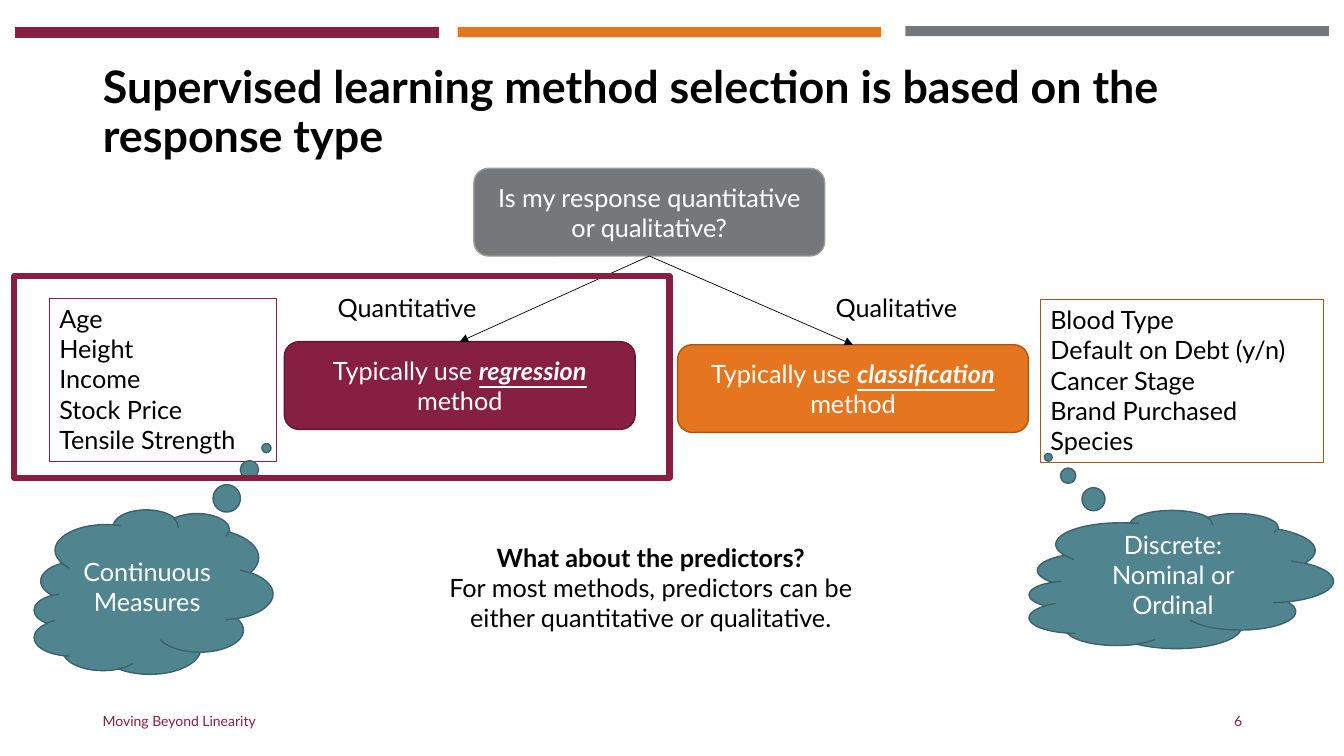
import pptx
import pptx.util
from pptx.dml.color import RGBColor
from pptx.enum.shapes import MSO_CONNECTOR, MSO_SHAPE
from pptx.enum.text import MSO_ANCHOR, MSO_AUTO_SIZE, PP_ALIGN
from pptx.oxml.ns import qn
from pptx.oxml.xmlchemy import OxmlElement
from pptx.util import Inches, Pt

MAROON = RGBColor(0x86, 0x1F, 0x41)
DARK_MAROON = RGBColor(0x63, 0x17, 0x30)
ORANGE = RGBColor(0xE5, 0x75, 0x1F)
DARK_ORANGE = RGBColor(0xA9, 0x57, 0x17)
LIST_ORANGE = RGBColor(0xAF, 0x57, 0x14)
GRAY = RGBColor(0x75, 0x78, 0x7B)
LIGHT_GRAY = RGBColor(0x9F, 0x9B, 0x96)
TEAL = RGBColor(0x50, 0x85, 0x90)
DARK_TEAL = RGBColor(0x3B, 0x62, 0x6B)
BLACK = RGBColor(0, 0, 0)
WHITE = RGBColor(0xFF, 0xFF, 0xFF)


class SlideBuilder:
    font_name = "Lato"
    body_size = 18

    def __init__(self, slide):
        self.slide = slide

    def set_text(self, shape, lines, color=BLACK, size=body_size, align=PP_ALIGN.LEFT,
                 anchor=MSO_ANCHOR.TOP, wrap=True):
        """Fill the shape with one paragraph per line and return the paragraphs."""
        frame = shape.text_frame
        frame.text = "\n".join(lines)
        frame.auto_size = MSO_AUTO_SIZE.NONE
        frame.word_wrap = wrap
        frame.vertical_anchor = anchor
        for paragraph in frame.paragraphs:
            paragraph.alignment = align
            paragraph.font.name = self.font_name
            paragraph.font.size = Pt(size)
            paragraph.font.color.rgb = color
        return frame.paragraphs

    def title(self, text, box):
        shape = self.slide.shapes.title
        shape.left, shape.top, shape.width, shape.height = map(Inches, box)
        paragraph = self.set_text(shape, [text], size=32, anchor=MSO_ANCHOR.MIDDLE)[0]
        paragraph.font.bold = True
        paragraph.line_spacing = 0.9

    def text(self, lines, box, **style):
        shape = self.slide.shapes.add_textbox(*map(Inches, box))
        return self.set_text(shape, lines, **style)

    def shape(self, kind, box, fill=None, line=None, line_width=1):
        shape = self.slide.shapes.add_shape(kind, *map(Inches, box))
        shape.shadow.inherit = False
        if fill is None:
            shape.fill.background()
        else:
            shape.fill.solid()
            shape.fill.fore_color.rgb = fill
        if line is None:
            shape.line.fill.background()
        else:
            shape.line.color.rgb = line
            shape.line.width = Pt(line_width)
        return shape

    def node(self, text, left, top, fill, line, emphasis=None):
        """Draw a rounded flowchart box, with one word of its text emphasised."""
        shape = self.shape(MSO_SHAPE.ROUNDED_RECTANGLE, (left, top, 3.48, 0.87), fill, line)
        paragraph = self.set_text(shape, [text], WHITE, align=PP_ALIGN.CENTER,
                                  anchor=MSO_ANCHOR.MIDDLE)[0]
        if emphasis:
            before, after = text.split(emphasis)
            paragraph.runs[0].text = before
            run = paragraph.add_run()
            run.text = emphasis
            run.font.bold = run.font.italic = run.font.underline = True
            paragraph.add_run().text = after
        return shape

    def arrow(self, start, end):
        """Join the bottom of one node to the top of another."""
        connector = self.slide.shapes.add_connector(MSO_CONNECTOR.STRAIGHT, 0, 0, 0, 0)
        connector.begin_connect(start, 2)
        connector.end_connect(end, 0)
        connector.line.color.rgb = BLACK
        connector.line.width = Pt(0.5)
        head = OxmlElement("a:tailEnd")
        head.set("type", "triangle")
        properties = connector.element.spPr
        properties.find(qn("a:ln")).append(head)
        properties.append(OxmlElement("a:effectLst"))

    def examples(self, lines, box, line):
        shape = self.shape(MSO_SHAPE.RECTANGLE, box, line=line, line_width=0.75)
        self.set_text(shape, lines, wrap=False)

    def thought(self, text, box, pointer):
        """Draw a cloud turned on its side and mirrored, with upright text."""
        shape = self.shape(MSO_SHAPE.CLOUD_CALLOUT, box, TEAL, DARK_TEAL)
        shape.rotation = 270
        shape.element.spPr.find(qn("a:xfrm")).set("flipH", "1")
        for index, value in enumerate(pointer):
            shape.adjustments[index] = value
        self.set_text(shape, [text], WHITE, align=PP_ALIGN.CENTER, anchor=MSO_ANCHOR.MIDDLE)
        shape.element.txBody.find(qn("a:bodyPr")).set("vert", "vert")


def main():
    presentation = pptx.Presentation()
    presentation.slide_width = Inches(13.33)
    presentation.slide_height = Inches(7.5)
    builder = SlideBuilder(presentation.slides.add_slide(presentation.slide_layouts[5]))

    for left, top, fill, line in ((0.15, 0.27, MAROON, MAROON), (4.54, 0.27, ORANGE, None),
                                  (8.98, 0.26, GRAY, None)):
        builder.shape(MSO_SHAPE.RECTANGLE, (left, top, 4.2, 0.1), fill, line, 0.75)

    builder.title("Supervised learning method selection is based on the response type",
                  (0.92, 0.4, 11.5, 1.45))
    footer_style = {"color": MAROON, "size": 10, "anchor": MSO_ANCHOR.MIDDLE}
    builder.text(["Moving Beyond Linearity"], (0.92, 6.95, 4.5, 0.4), **footer_style)
    builder.text(["6"], (9.42, 6.95, 3, 0.4), align=PP_ALIGN.RIGHT, **footer_style)

    question = builder.node("Is my response quantitative or qualitative?", 4.7, 1.67,
                            GRAY, LIGHT_GRAY)
    regression = builder.node("Typically use regression method", 2.82, 3.39,
                              MAROON, DARK_MAROON, "regression")
    classification = builder.node("Typically use classification method", 6.72, 3.42,
                                  ORANGE, DARK_ORANGE, "classification")
    builder.arrow(question, regression)
    builder.arrow(question, classification)
    builder.text(["Quantitative"], (3.25, 2.85, 2.05, 0.4))
    builder.text(["Qualitative"], (8.19, 2.85, 2.05, 0.4))

    builder.examples(["Age", "Height", "Income", "Stock Price", "Tensile Strength"],
                     (0.49, 2.96, 2.25, 1.62), MAROON)
    builder.examples(["Blood Type", "Default on Debt (y/n)", "Cancer Stage",
                      "Brand Purchased", "Species"], (10.32, 2.97, 2.81, 1.62), LIST_ORANGE)

    predictors = builder.text(["What about the predictors?",
                               "For most methods, predictors can be",
                               "either quantitative or qualitative."],
                              (3.12, 5.33, 6.67, 1.01), align=PP_ALIGN.CENTER)
    predictors[0].font.bold = True

    builder.thought("Continuous Measures", (0.7, 4.69, 1.63, 2.37), (-0.877, 0.476))
    builder.thought("Discrete: Nominal or Ordinal", (11.02, 4.24, 1.37, 3.02), (-0.885, -0.433))
    builder.shape(MSO_SHAPE.RECTANGLE, (0.14, 2.74, 6.5, 2), line=MAROON, line_width=4.5)

    presentation.save("out.pptx")


if __name__ == "__main__":
    main()
